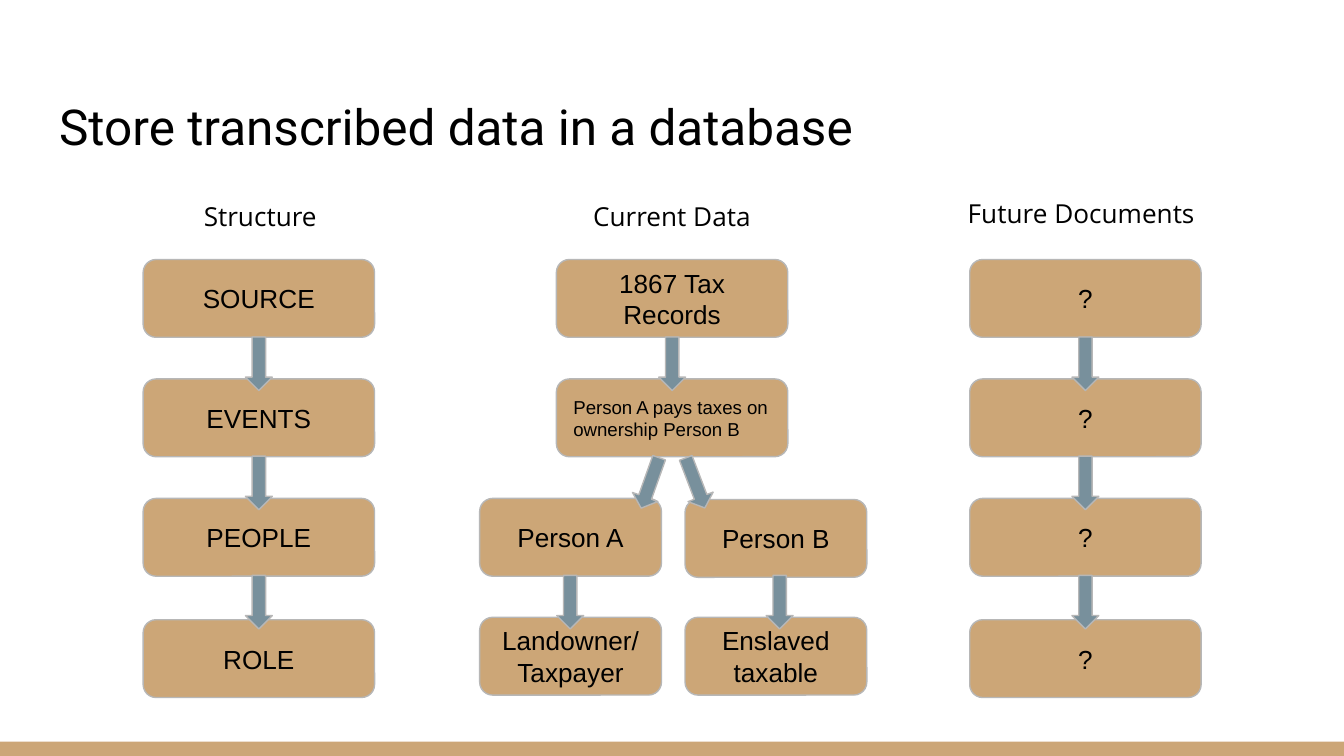
import pptx
import pptx.dml.color
import pptx.enum.shapes
import pptx.enum.text
import pptx.util

Pt = pptx.util.Pt
Kind = pptx.enum.shapes.MSO_SHAPE
Align = pptx.enum.text.PP_ALIGN
Anchor = pptx.enum.text.MSO_ANCHOR

TAN, SLATE, GREY, BLACK = "CCA677", "78909C", "B7B7B7", "000000"


def color(hex_string):
    return pptx.dml.color.RGBColor.from_string(hex_string)


def write_text(shape, text, size, font, alignment=Align.CENTER, anchor=Anchor.MIDDLE):
    frame = shape.text_frame
    frame.text = text
    paragraph = frame.paragraphs[0]
    paragraph.alignment = alignment
    frame_format = {"word_wrap": True, "vertical_anchor": anchor,
                    "auto_size": pptx.enum.text.MSO_AUTO_SIZE.NONE}
    for side in ("left", "right", "top", "bottom"):
        frame_format["margin_" + side] = Pt(7.2)
    for name, value in frame_format.items():
        setattr(frame, name, value)
    run_font = paragraph.runs[0].font
    for name, value in {"size": Pt(size), "name": font}.items():
        setattr(run_font, name, value)
    run_font.color.rgb = color(BLACK)


def add_filled_shape(kind, left, top, width, height, fill, line=GREY):
    shape = slide.shapes.add_shape(kind, Pt(left), Pt(top), Pt(width), Pt(height))
    shape.shadow.inherit = False
    shape.fill.solid()
    shape.fill.fore_color.rgb = color(fill)
    if line:
        shape.line.color.rgb = color(line)
        shape.line.width = Pt(0.75)
    else:
        shape.line.fill.background()
    return shape


presentation = pptx.Presentation()
presentation.slide_width, presentation.slide_height = Pt(720), Pt(405)
slide = presentation.slides.add_slide(presentation.slide_layouts[5])

add_filled_shape(Kind.RECTANGLE, 0, 397.4, 720, 7.6, TAN, line=None)

title = slide.shapes.title
title_box = {"left": 24.5, "top": 25.2, "width": 671, "height": 65.5}
for name, value in title_box.items():
    setattr(title, name, Pt(value))
write_text(title, "Store transcribed data in a database", 26.5, "Roboto",
           Align.LEFT, Anchor.BOTTOM)

# Column headings: text, left, top, width
headings = [
    ("Structure", 77.5, 100, 124),
    ("Current Data", 298, 100, 124),
    ("Future Documents", 501.5, 98.8, 155.5),
]
for text, left, top, width in headings:
    heading = slide.shapes.add_textbox(Pt(left), Pt(top), Pt(width), Pt(31.5))
    write_text(heading, text, 14, "Open Sans", anchor=Anchor.TOP)

box_width, person_width, box_height = 124, 97.4, 41.7
row_tops = [139, 203, 267, 332]
structure_left, current_left, future_left = 76.7, 298.1, 519.5
person_a_left, person_b_left = 257, 367

# Boxes: text, left, top, width
boxes = [
    ("1867 Tax Records", current_left, row_tops[0], box_width),
    ("Person A", person_a_left, row_tops[2], person_width),
    ("Person B", person_b_left, row_tops[2] + 0.6, person_width),
    ("Landowner/Taxpayer", person_a_left, 330.7, person_width),
    ("Enslaved taxable", person_b_left, 330.7, person_width),
]
for text, top in zip(["SOURCE", "EVENTS", "PEOPLE", "ROLE"], row_tops):
    boxes.append((text, structure_left, top, box_width))
    boxes.append(("?", future_left, top, box_width))
for text, left, top, width in boxes:
    box = add_filled_shape(Kind.ROUNDED_RECTANGLE, left, top, width, box_height, TAN)
    write_text(box, text, 14, "Arial")

event = add_filled_shape(Kind.ROUNDED_RECTANGLE, current_left, row_tops[1],
                         box_width, box_height, TAN)
write_text(event, "Person A pays taxes on ownership Person B", 10, "Arial", Align.LEFT)

# Arrows: centre, top, rotation, head length
arrow_width, arrow_height = 14.4, 28.7
arrow_tops = [180.6, 244.4, 308.3]
arrows = [
    (current_left + box_width / 2, arrow_tops[0], 0, 0.5),
    (348.3, arrow_tops[1], 19.6, 0.44),
    (372.5, arrow_tops[1], -20.9, 0.44),
    (305.5, arrow_tops[2], 0, 0.5),
    (417.7, arrow_tops[2], 0, 0.5),
]
for left in (structure_left, future_left):
    for top in arrow_tops:
        arrows.append((left + box_width / 2, top, 0, 0.5))
for center, top, rotation, head_length in arrows:
    arrow = add_filled_shape(Kind.DOWN_ARROW, center - arrow_width / 2, top,
                             arrow_width, arrow_height, SLATE)
    arrow.rotation = rotation
    arrow.adjustments[1] = head_length

presentation.save("out.pptx")
